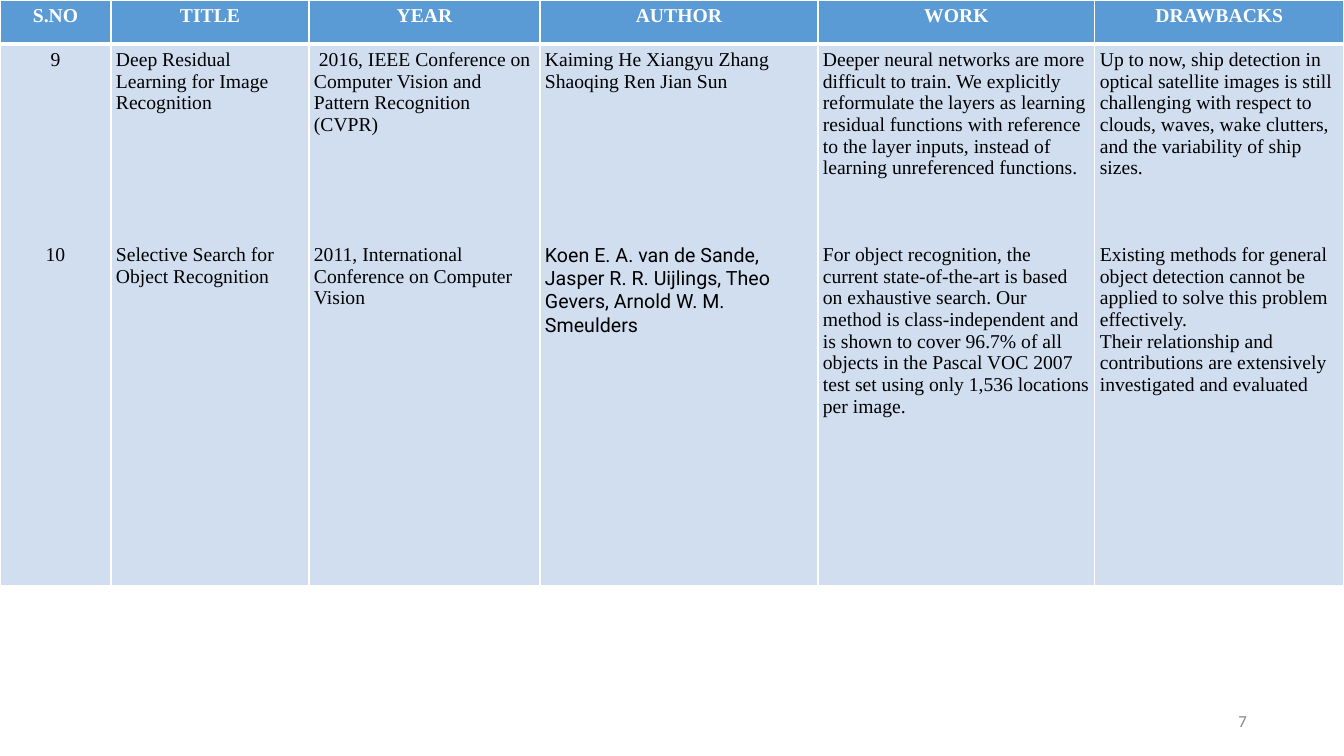
from pptx import Presentation
from pptx import util as u
from pptx.dml.color import RGBColor
from pptx.enum import text
from pptx.oxml import parse_xml
from pptx.oxml.ns import nsdecls

SCALE = 914400 / 100.8
LINE = 15.5  # height of one 14 pt text line, in points
LEFT, CENTER, RIGHT = text.PP_ALIGN.LEFT, text.PP_ALIGN.CENTER, text.PP_ALIGN.RIGHT
SERIF = "Times New Roman"


def px(n):
    return u.Emu(round(n * SCALE))


def rgb(value):
    return RGBColor.from_string(value)


class Deck:
    pad = 5
    header_fill, body_fill, rule = "5B9BD5", "D0DEEF", "FFFFFF"

    def __init__(self, width, height):
        self.prs = Presentation()
        self.prs.slide_width, self.prs.slide_height = px(width), px(height)
        self.s = self.prs.slides.add_slide(self.prs.slide_layouts[6])

    def margins(self, box):
        box.margin_left = box.margin_right = px(self.pad)
        box.margin_top = box.margin_bottom = px(self.pad)

    def run(self, p, words, size=14, font=SERIF, color="000000", bold=False):
        r = p.add_run()
        r.text = words
        r.font.size, r.font.name, r.font.bold = u.Pt(size), font, bold
        r.font.color.rgb = rgb(color)

    def border(self, cell, side, width):
        cell._tc.get_or_add_tcPr().append(parse_xml(
            f'<a:ln{side} {nsdecls("a")} w="{u.Pt(width)}"><a:solidFill>'
            f'<a:srgbClr val="{self.rule}"/></a:solidFill></a:ln{side}>'))

    def cell(self, cell, paragraphs, align, fill, thick, **style):
        self.margins(cell)
        for side in "LRTB":
            self.border(cell, side, 3 if side == thick else 1)
        cell.fill.solid()
        cell.fill.fore_color.rgb = rgb(fill)
        tf = cell.text_frame
        for i, (words, gap, extra) in enumerate(paragraphs):
            p = tf.add_paragraph() if i else tf.paragraphs[0]
            p.alignment = align
            if gap:
                p.space_before = u.Pt(gap * LINE)
            extra = dict(extra)
            indent = extra.pop("indent", 0)
            if indent:
                p._p.get_or_add_pPr().set("indent", str(px(indent)))
            self.run(p, words, **{**style, **extra})

    def table(self, x, y, heights, columns):
        widths = [width for width, *_ in columns]
        table = self.s.shapes.add_table(
            2, len(columns), px(x), px(y), px(sum(widths)), px(sum(heights))).table
        table.horz_banding = False
        for row, height in zip(table.rows, heights):
            row.height = px(height)
        for i, (width, title, align, paragraphs) in enumerate(columns):
            table.columns[i].width = px(width)
            self.cell(table.cell(0, i), [(title, 0, {})], CENTER, self.header_fill, "B",
                      color="FFFFFF", bold=True)
            self.cell(table.cell(1, i), paragraphs, align, self.body_fill, "T")

    def label(self, x, y, w, h, words, **style):
        tf = self.s.shapes.add_textbox(px(x), px(y), px(w), px(h)).text_frame
        self.margins(tf)
        tf.word_wrap = False
        tf.auto_size = text.MSO_AUTO_SIZE.SHAPE_TO_FIT_TEXT
        tf.vertical_anchor = text.MSO_ANCHOR.MIDDLE
        p = tf.paragraphs[0]
        p.alignment = RIGHT
        self.run(p, words, **style)


# Columns: width, heading, alignment, paragraphs (words, lines of gap before, style)
COLUMNS = [
    (111, "S.NO", CENTER, [("9", 0, {}), ("10", 8, {})]),
    (198, "TITLE", LEFT, [
        ("Deep Residual Learning for Image Recognition", 0, {}),
        ("Selective Search for Object Recognition", 6, {})]),
    (231, "YEAR", LEFT, [
        ("2016, IEEE Conference on Computer Vision and Pattern Recognition (CVPR)", 0,
         {"indent": 5}),
        ("2011, International Conference on Computer Vision", 5, {})]),
    (278, "AUTHOR", LEFT, [
        ("Kaiming He Xiangyu Zhang Shaoqing Ren Jian Sun", 0, {}),
        ("Koen E. A. van de Sande, Jasper R. R. Uijlings, Theo Gevers, "
         "Arnold W. M. Smeulders", 7, {"font": "Roboto"})]),
    (277, "WORK", LEFT, [
        ("Deeper neural networks are more difficult to train. We explicitly reformulate "
         "the layers as learning residual functions with reference to the layer inputs, "
         "instead of learning unreferenced functions.", 0, {}),
        ("For object recognition, the current state-of-the-art is based on exhaustive "
         "search. Our method is class-independent and is shown to cover 96.7% of all "
         "objects in the Pascal VOC 2007 test set using only 1,536 locations per image.",
         3, {})]),
    (249, "DRAWBACKS", LEFT, [
        ("Up to now, ship detection in optical satellite images is still challenging with "
         "respect to clouds, waves, wake clutters, and the variability of ship sizes.",
         0, {}),
        ("Existing methods for general object detection cannot be applied to solve this "
         "problem effectively.", 3, {}),
        ("Their relationship and contributions are extensively investigated and evaluated",
         0, {})]),
]


def main():
    deck = Deck(1344, 756)
    # Literature survey table
    deck.table(0, 0, (44, 542), COLUMNS)
    # Page number
    deck.label(1232, 706, 20, 29, "7", size=12, font="Calibri", color="888888")
    deck.prs.save("out.pptx")


if __name__ == "__main__":
    main()
